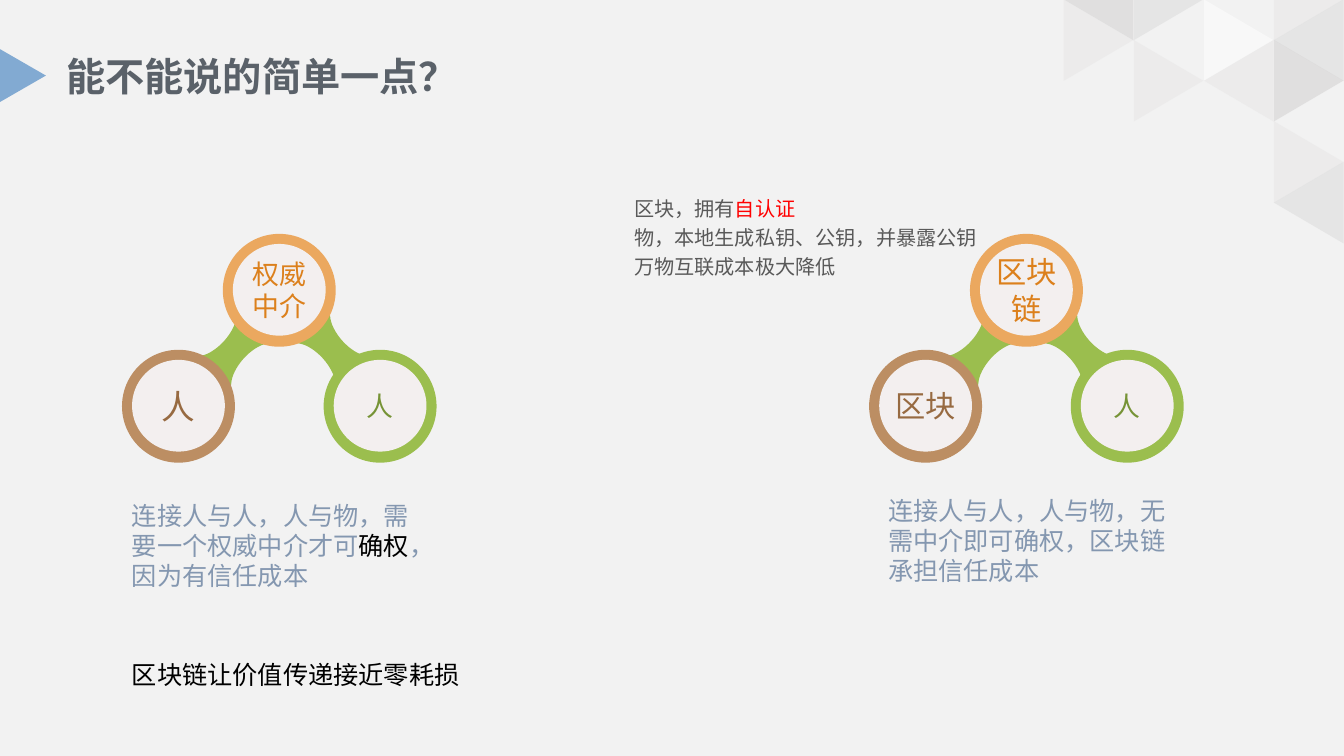
from lxml.etree import SubElement
from pptx import Presentation
from pptx.dml.color import RGBColor
from pptx.enum.shapes import MSO_SHAPE
from pptx.enum.text import MSO_ANCHOR, PP_ALIGN
from pptx.oxml.ns import qn
from pptx.util import Inches, Pt

CJK_FONT = "Noto Sans CJK SC"
BLUE_GREY = "8497B0"
BLACK = "000000"
GREY = "595959"
GREEN = "9BBE4E"

TRIANGLES = [
    (0, 0, "D0CECE"), (0, 1, "D9D9D9"), (0, 2, "F2F2F2"), (0, 3, "E7E6E6"),
    (1, 0, "E7E6E6"), (1, 1, "F2F2F2"), (1, 2, "FFFFFF"), (1, 3, "D9D9D9"),
    (2, 2, "E7E6E6"), (2, 3, "D0CECE"), (3, 2, "F2F2F2"), (3, 3, "F2F2F2"),
    (4, 2, "F2F2F2"), (4, 3, "E7E6E6"), (5, 3, "F2F2F2"), (5, 3, "D9D9D9"),
    (2, 1, "E7E6E6"),
]

LINK_EDGE = [
    (0.29, -0.22), (0.26, -0.2), (0.21, -0.16), (0.11, -0.13), (0, -0.13),
    (-0.11, -0.13), (-0.21, -0.16), (-0.26, -0.2), (-0.29, -0.22),
]
LINK_CURVE_STARTS = (1, 4, 10, 13)


def color(hex_string):
    """Turn a hex string into a colour."""
    return RGBColor.from_string(hex_string)


def paint(shape, fill):
    """Give a shape a flat fill with no line and no shadow."""
    shape.fill.solid()
    shape.fill.fore_color.rgb = color(fill)
    shape.line.fill.background()
    shape.shadow.inherit = False


def add_flat_shape(shapes, kind, left, top, width, height, fill, rotation=0):
    """Add a flat preset shape, lengths in inches."""
    shape = shapes.add_shape(kind, Inches(left), Inches(top), Inches(width), Inches(height))
    shape.rotation = rotation
    paint(shape, fill)
    return shape


def format_run(run, size, fill, font=CJK_FONT, bold=False):
    """Set the font of a run for Latin and East Asian text."""
    run.font.size = Pt(size)
    run.font.bold = bold
    run.font.name = font
    run.font.color.rgb = color(fill)
    SubElement(run.font._element, qn("a:ea")).set("typeface", CJK_FONT)


def add_text(slide, left, top, width, height, lines, size, bold=False, spacing=None,
             anchor=MSO_ANCHOR.TOP):
    """Add a text box whose lines are lists of (text, colour) pieces."""
    text_frame = slide.shapes.add_textbox(
        Inches(left), Inches(top), Inches(width), Inches(height)).text_frame
    text_frame.word_wrap = True
    text_frame.vertical_anchor = anchor
    for index, pieces in enumerate(lines):
        paragraph = text_frame.add_paragraph() if index else text_frame.paragraphs[0]
        paragraph.line_spacing = spacing
        for text, fill in pieces:
            run = paragraph.add_run()
            run.text = text
            format_run(run, size, fill, bold=bold)


def add_background(slide, width, height):
    """Fill the slide and lay the triangle mosaic in its top right corner."""
    add_flat_shape(slide.shapes, MSO_SHAPE.RECTANGLE, 0, 0, width, height, "F2F2F2")
    for row, column, fill in TRIANGLES:
        triangle = add_flat_shape(
            slide.shapes, MSO_SHAPE.ISOSCELES_TRIANGLE,
            width - 2.84 + 0.695 * column, -0.35 + 0.403 * row, 0.81, 0.69, fill,
            90 if (row + column) % 2 else 270)
        for element in triangle._element.spPr.iter(qn("a:srgbClr")):
            SubElement(element, qn("a:alpha")).set("val", "50000")


def add_title(slide, left, top, width, height):
    """Add the title and the blue marker on the slide's edge."""
    add_flat_shape(slide.shapes, MSO_SHAPE.ISOSCELES_TRIANGLE,
                   -0.04, top + 0.12, 0.53, 0.46, "82AAD2", 90)
    add_text(slide, left, top, width, height, [[("能不能说的简单一点？", "5A6169")]], 28,
             bold=True, anchor=MSO_ANCHOR.MIDDLE)


def add_link(slide, center_x, center_y, rotation):
    """Add a link with two curved edges around a centre point."""
    outline = LINK_EDGE + [(-x, -y) for x, y in LINK_EDGE]
    points = [(Inches(center_x + x), Inches(center_y + y)) for x, y in outline]
    builder = slide.shapes.build_freeform(*points[0])
    builder.add_line_segments(points[1:], close=True)
    link = builder.convert_to_shape()
    lines = list(link._element.spPr.iter(qn("a:lnTo")))
    for start in LINK_CURVE_STARTS:
        first, *others = lines[start:start + 3]
        first.tag = qn("a:cubicBezTo")
        for line in others:
            first.append(line[0])
            line.getparent().remove(line)
    link.rotation = rotation
    paint(link, GREEN)


def add_node(slide, left, top, text, size, ring, ink):
    """Add a ringed circle with a label."""
    shapes = slide.shapes.add_group_shape().shapes
    add_flat_shape(shapes, MSO_SHAPE.OVAL, left, top, 1.12, 1.12, ring)
    disc = add_flat_shape(shapes, MSO_SHAPE.OVAL, left + 0.1, top + 0.1, 0.92, 0.91, "F3EFEF")
    text_frame = disc.text_frame
    text_frame.margin_left = text_frame.margin_right = 0
    text_frame.margin_top = text_frame.margin_bottom = 0
    text_frame.word_wrap = True
    text_frame.vertical_anchor = MSO_ANCHOR.MIDDLE
    text_frame.text = text
    paragraph = text_frame.paragraphs[0]
    paragraph.alignment = PP_ALIGN.CENTER
    format_run(paragraph.runs[0], size, ink, font="Calibri")


def add_cluster(slide, left, top, left_node, top_node, right_node):
    """Add three linked nodes, each given as (text, size)."""
    for side in (1, -1):
        add_link(slide, left + 1.6 + 0.49 * side, top + 1.15, 48 * side % 360)
    add_node(slide, left, top + 1.15, *left_node, "BC8E63", "976A41")
    add_node(slide, left + 1, top, *top_node, "EBA85F", "DC801C")
    add_node(slide, left + 2, top + 1.15, *right_node, GREEN, "769336")


def main():
    """Build the slide and save it."""
    presentation = Presentation()
    presentation.slide_width = Inches(13.33)
    presentation.slide_height = Inches(7.5)
    slide = presentation.slides.add_slide(presentation.slide_layouts[6])

    add_background(slide, 13.33, 7.5)
    add_title(slide, 0.56, 0.4, 12.2, 0.7)
    add_cluster(slide, 1.21, 2.32, ("人", 24), ("权威中介", 19.2), ("人", 19.2))
    add_text(slide, 1.21, 4.91, 3.19, 1.01, [[
        ("连接人与人，人与物，需要一个权威中介才可", BLUE_GREY),
        ("确权", BLACK),
        ("，因为有信任成本", BLUE_GREY)]], 18)
    add_cluster(slide, 8.62, 2.32, ("区块", 21.6), ("区块链", 21.6), ("人", 19.2))
    add_text(slide, 8.71, 4.86, 3.19, 1.01, [[
        ("连接人与人，人与物，无需中介即可确权，区块链承担信任成本", BLUE_GREY)]], 18)
    add_text(slide, 1.21, 6.49, 5.62, 0.4, [[("区块链让价值传递接近零耗损", BLACK)]], 18)
    add_text(slide, 6.19, 1.85, 3.89, 1.09, [
        [("区块，拥有", GREY), ("自认证", "FF0000")],
        [("物，本地生成私钥、公钥，并暴露公钥", GREY)],
        [("万物互联成本极大降低", GREY)]], 14.4, spacing=1.2)

    presentation.save("out.pptx")


if __name__ == "__main__":
    main()
